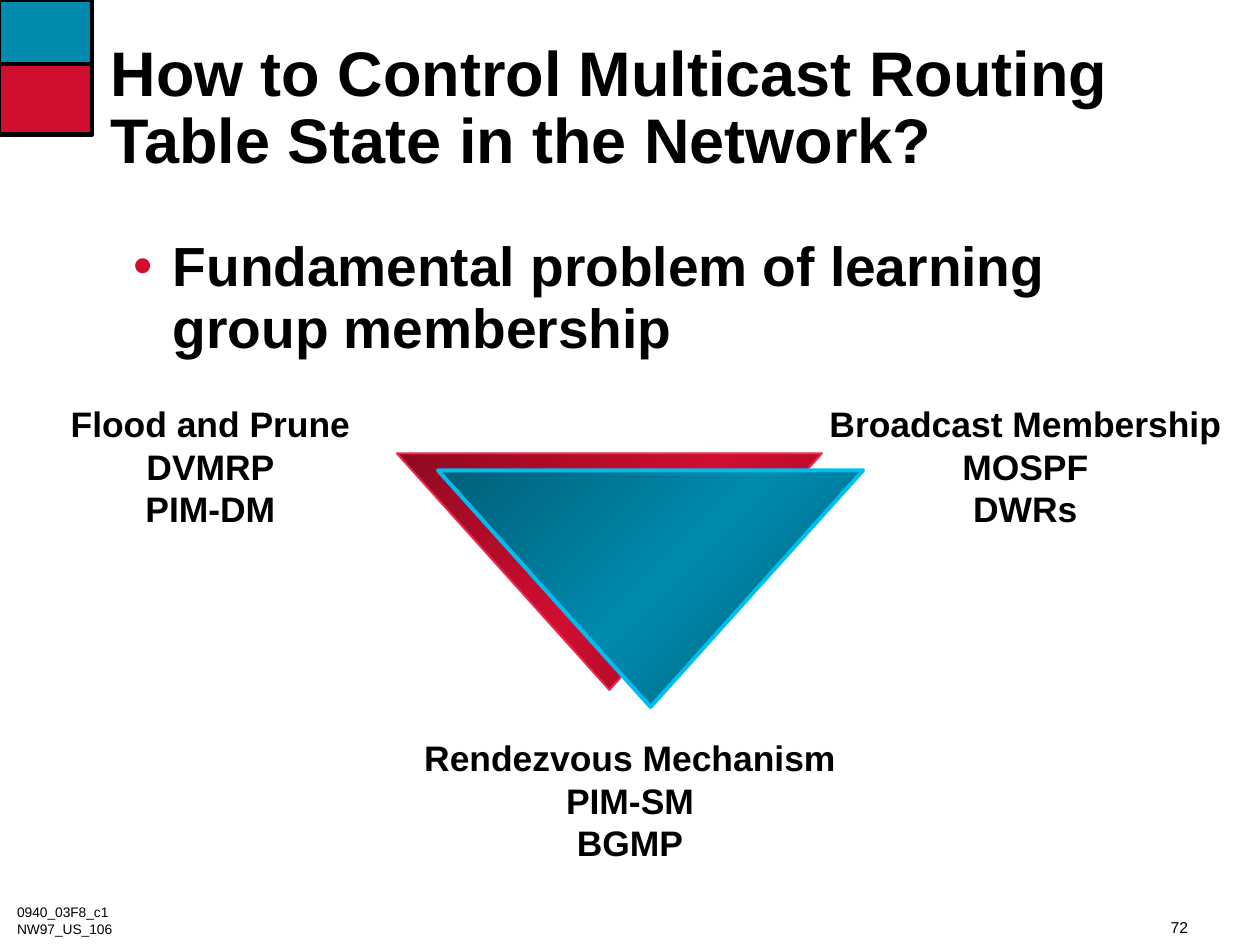
from lxml import etree
from pptx import Presentation
from pptx.dml.color import RGBColor
from pptx.enum import shapes, text
from pptx.oxml import ns
from pptx.util import Inches, Pt

BLACK = RGBColor(0x00, 0x00, 0x00)
TEAL = RGBColor(0x00, 0x8A, 0xAE)
DARK_TEAL = RGBColor(0x00, 0x5F, 0x78)
BRIGHT_TEAL = RGBColor(0x00, 0xBD, 0xF0)
RED = RGBColor(0xCF, 0x0E, 0x30)
DARK_RED = RGBColor(0x8F, 0x09, 0x21)
BRIGHT_RED = RGBColor(0xF1, 0x28, 0x4B)

FONT = "Arial"
LEFT, CENTER = text.PP_ALIGN.LEFT, text.PP_ALIGN.CENTER
TOP, MIDDLE = text.MSO_ANCHOR.TOP, text.MSO_ANCHOR.MIDDLE


def set_line(shape, color, width):
    """Give a shape a solid outline."""
    shape.line.color.rgb = color
    shape.line.width = Pt(width)


def add_square(slide, top, height, color):
    """Add one of the coloured corner blocks."""
    shape = slide.shapes.add_shape(
        shapes.MSO_SHAPE.RECTANGLE, 0, Inches(top), Inches(0.64), Inches(height))
    shape.shadow.inherit = False
    shape.fill.solid()
    shape.fill.fore_color.rgb = color
    set_line(shape, BLACK, 1)


def add_outline(slide, points, close):
    """Add a freeform through points given in inches."""
    vertices = [(Inches(x), Inches(y)) for x, y in points]
    builder = slide.shapes.build_freeform(*vertices[0])
    builder.add_line_segments(vertices[1:], close=close)
    shape = builder.convert_to_shape()
    shape.shadow.inherit = False
    return shape


def add_corner(slide):
    """Add the two blocks, their divider and their edge."""
    add_square(slide, 0.01, 0.69, TEAL)
    add_square(slide, 0.46, 0.48, RED)
    divider = slide.shapes.add_connector(
        shapes.MSO_CONNECTOR.STRAIGHT, Inches(0.65), Inches(0.45), 0, Inches(0.45))
    etree.SubElement(divider._element.spPr, ns.qn("a:effectLst"))
    set_line(divider, BLACK, 2)
    edge = add_outline(slide, [(0, 0.95), (0.65, 0.95), (0.65, 0)], False)
    edge.fill.background()
    set_line(edge, BLACK, 2)


def add_triangle(slide, left, top, dark, middle, line_color, line_width):
    """Add a downward triangle with a diagonal three-stop gradient."""
    points = [(left, top), (left + 3, top), (left + 1.5, top + 1.67)]
    shape = add_outline(slide, points, True)
    properties = shape._element.spPr
    gradient = etree.Element(ns.qn("a:gradFill"), rotWithShape="1")
    stops = etree.SubElement(gradient, ns.qn("a:gsLst"))
    for position, color in ((0, dark), (50, middle), (100, dark)):
        stop = etree.SubElement(stops, ns.qn("a:gs"), pos=str(position * 1000))
        etree.SubElement(stop, ns.qn("a:srgbClr"), val=str(color))
    etree.SubElement(gradient, ns.qn("a:lin"), ang=str(225 * 60000), scaled="0")
    properties.find(ns.qn("a:custGeom")).addnext(gradient)
    set_line(shape, line_color, line_width)


def add_text(slide, box, lines, size, bold=False, align=LEFT, anchor=TOP,
             margins=(0.08, 0.04), spacing=1.0, wrap=True):
    """Add a text box with one paragraph for each line."""
    shape = slide.shapes.add_textbox(*map(Inches, box))
    frame = shape.text_frame
    frame.word_wrap = wrap
    frame.vertical_anchor = anchor
    frame.margin_left = frame.margin_right = Inches(margins[0])
    frame.margin_top = frame.margin_bottom = Inches(margins[1])
    frame.text = "\n".join(lines)
    for paragraph in frame.paragraphs:
        paragraph.alignment = align
        paragraph.line_spacing = spacing
        for run in paragraph.runs:
            run.font.name = FONT
            run.font.size = Pt(size)
            run.font.bold = bold
            run.font.color.rgb = BLACK
    return shape


def add_bullet(paragraph, color, indent):
    """Give a paragraph a coloured bullet and a hanging indent."""
    properties = paragraph._p.get_or_add_pPr()
    properties.set("marL", str(Inches(indent)))
    properties.set("indent", str(-Inches(indent)))
    bullet_color = etree.SubElement(properties, ns.qn("a:buClr"))
    etree.SubElement(bullet_color, ns.qn("a:srgbClr"), val=str(color))
    etree.SubElement(properties, ns.qn("a:buFont"), typeface=FONT)
    etree.SubElement(properties, ns.qn("a:buChar"), char="•")


def add_label(slide, left, top, width, lines):
    """Add a centred label beside a corner of the triangle."""
    add_text(slide, (left, top, width, 1), lines, 18, bold=True,
             align=CENTER, margins=(0.1, 0.05), wrap=False)


def main():
    """Build the slide and save it."""
    presentation = Presentation()
    presentation.slide_width = Inches(8.89)
    presentation.slide_height = Inches(6.67)
    slide = presentation.slides.add_slide(presentation.slide_layouts[6])

    add_corner(slide)
    add_text(slide, (8.18, 6.44, 0.67, 0.21), ["72"], 8)
    add_text(slide, (0.04, 6.34, 1.15, 0.31), ["0940_03F8_c1", "NW97_US_106"], 7)
    add_text(slide, (0.7, 0.22, 7.99, 1.11),
             ["How to Control Multicast Routing Table State in the Network?"],
             32, bold=True, anchor=MIDDLE, spacing=0.88)
    body = add_text(slide, (0.86, 1.55, 7.16, 1.12),
                    ["Fundamental problem of learning group membership"],
                    28, bold=True, anchor=MIDDLE, spacing=0.93)
    add_bullet(body.text_frame.paragraphs[0], RED, 0.28)

    add_label(slide, 0.4, 2.79, 2.17, ["Flood and Prune", "DVMRP", "PIM-DM"])
    add_label(slide, 5.75, 2.79, 2.97, ["Broadcast Membership", "MOSPF", "DWRs"])
    add_label(slide, 2.89, 5.15, 3.11, ["Rendezvous Mechanism", "PIM-SM", "BGMP"])

    add_triangle(slide, 2.8, 3.2, DARK_RED, RED, BRIGHT_RED, 1)
    add_triangle(slide, 3.09, 3.32, DARK_TEAL, TEAL, BRIGHT_TEAL, 2)
    presentation.save("out.pptx")


if __name__ == "__main__":
    main()
